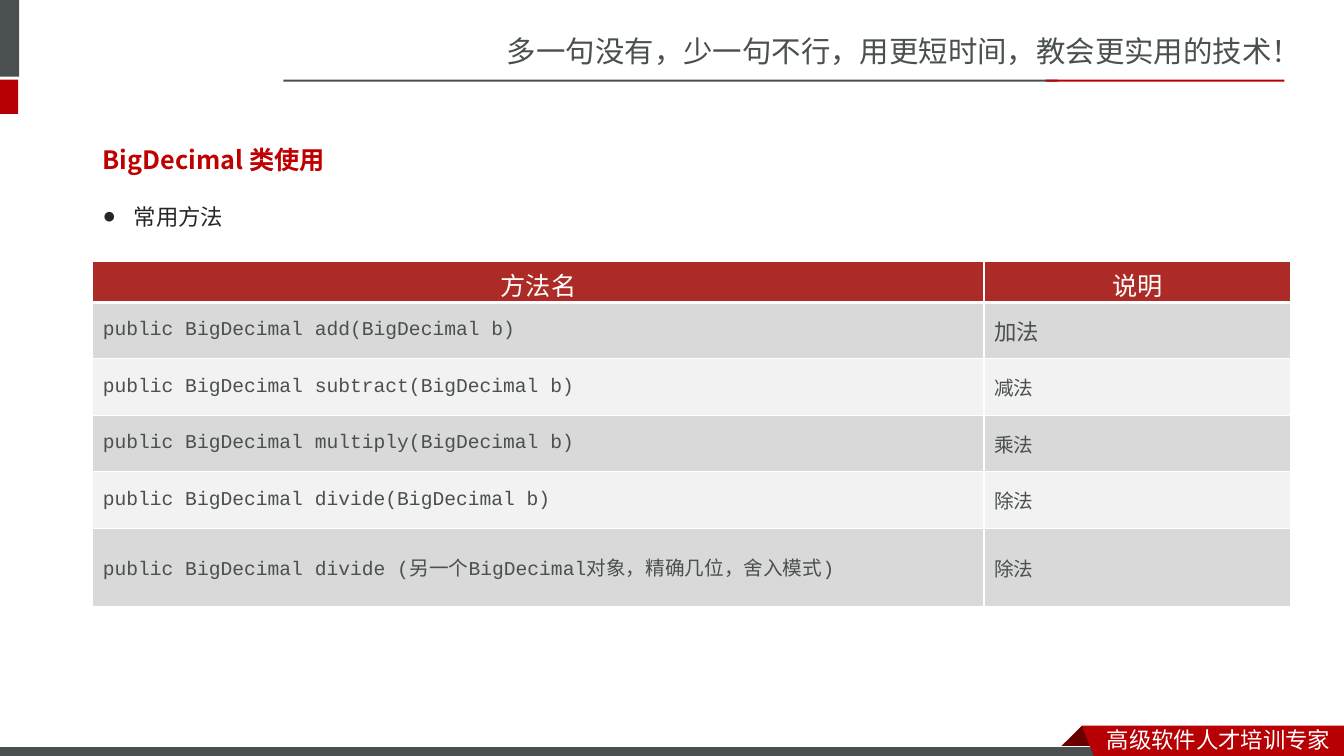
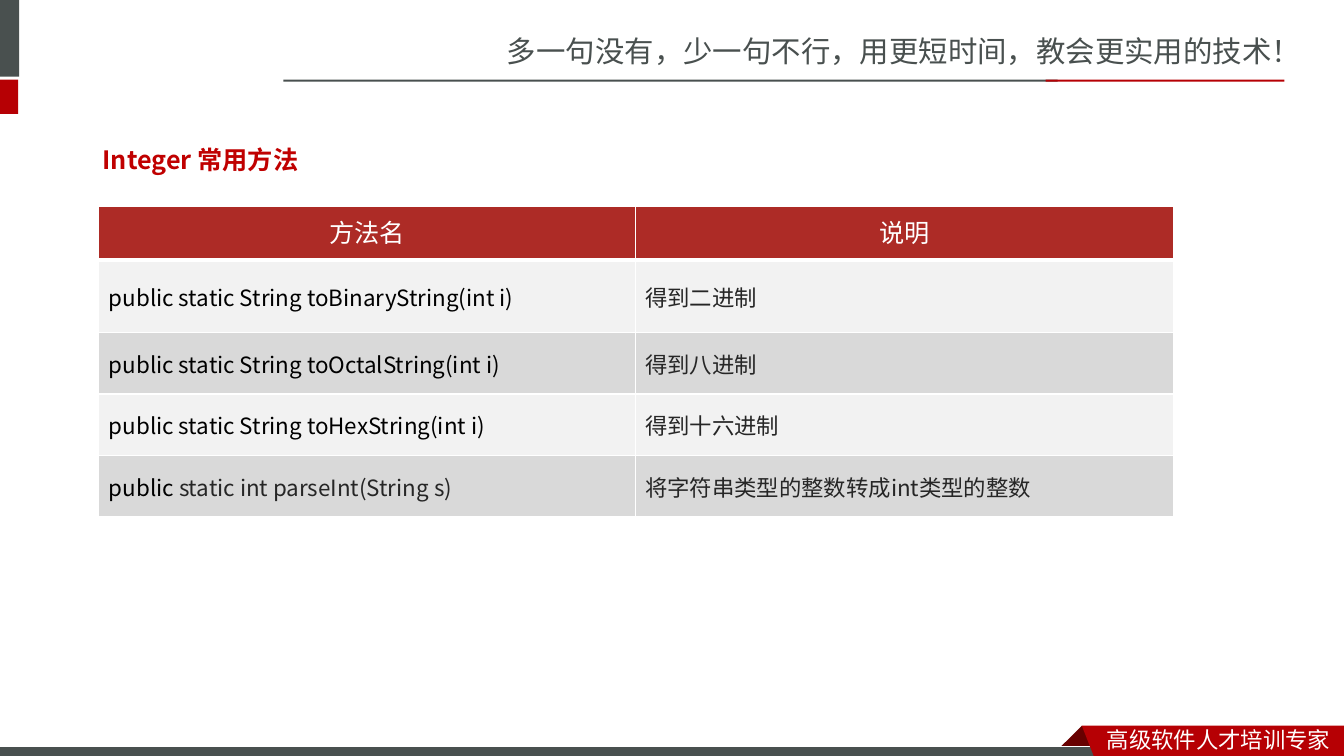
from dataclasses import dataclass

from lxml.etree import SubElement
from pptx import Presentation
from pptx.dml.color import RGBColor
from pptx.enum.lang import MSO_LANGUAGE_ID
from pptx.enum.shapes import MSO_SHAPE
from pptx.enum.text import MSO_ANCHOR, MSO_AUTO_SIZE, PP_ALIGN
from pptx.oxml.ns import qn
from pptx.util import Inches, Pt


@dataclass(frozen=True)
class Theme:
    white: str = "FFFFFF"
    black: str = "000000"
    ink: str = "262626"
    slate: str = "49504F"
    red: str = "B60004"
    dark: str = "680000"
    title: str = "C00000"
    head: str = "AD2B26"
    gray: str = "D9D9D9"
    pale: str = "F2F2F2"
    brand: str = "Noto Sans CJK SC"
    body: str = "Noto Sans CJK JP"
    code: str = "Courier New"
    latin: str = "Arial"
    slogan: int = 21
    large: int = 18
    text: int = 16
    small: int = 14


T = Theme()


def write(para, text, size=T.text, font=T.body, color=T.ink, bold=False,
          align=None, gap=None):
    """Add one formatted run to a paragraph."""
    if align is not None:
        para.alignment = align
    if gap is not None:
        para.line_spacing = gap
    run = para.add_run()
    run.text = text
    run.font.size = Pt(size)
    run.font.bold = bold
    run.font.color.rgb = RGBColor.from_string(color)
    run.font.name = font
    run.font.language_id = MSO_LANGUAGE_ID.SIMPLIFIED_CHINESE
    wide = font if font.startswith("Noto") else T.body
    SubElement(run.font._element, qn("a:ea")).set("typeface", wide)


def add_box(slide, left, top, width, height):
    """Add a wrapping text box and return its first paragraph."""
    frame = slide.shapes.add_textbox(*map(Inches, (left, top, width, height))).text_frame
    frame.word_wrap = True
    frame.auto_size = MSO_AUTO_SIZE.SHAPE_TO_FIT_TEXT
    return frame.paragraphs[0]


bars = [
    (-0.06, 0, 0.25, 0.76, T.slate),
    (-0.06, 0.79, 0.24, 0.34, T.red),
    (2.81, 0.79, 7.68, 0.02, T.slate),
    (10.37, 0.79, 2.37, 0.02, T.red),
]
fold = [(10.73, 7.2), (10.95, 7.42), (10.94, 7.43), (10.52, 7.43), (10.51, 7.42)]
ribbon = [(10.73, 7.2), (13.33, 7.2), (13.33, 7.54), (10.86, 7.53)]
footer = [
    (fold, T.dark),
    ((-0.01, 7.41, 11, 0.12), T.slate),
    (ribbon, T.red),
]

# Each cell is a list of (text, format) runs.
code = dict(size=T.small, font=T.code, color=T.slate)
note = dict(size=T.small, color=T.slate)
black = dict(color=T.black)
pages = [
    dict(
        title="BigDecimal 类使用",
        bullet="常用方法",
        place=(0.92, 2.59),
        cols=(8.84, 3.04),
        highs=(0.41, 0.56, 0.56, 0.56, 0.56, 0.78),
        bands=(T.gray, T.pale),
        head=dict(font=T.body),
        tight=True,
        rows=[
            [[("public BigDecimal add(BigDecimal b)", code)],
             [("加法", dict(color=T.slate))]],
            [[("public BigDecimal subtract(BigDecimal b)", code)], [("减法", note)]],
            [[("public BigDecimal multiply(BigDecimal b)", code)], [("乘法", note)]],
            [[("public BigDecimal divide(BigDecimal b)", code)], [("除法", note)]],
            [[("public BigDecimal divide (另一个BigDecimal对象，精确几位，舍入模式)", code)],
             [("除法", note)]],
        ],
    ),
    dict(
        title="Integer 常用方法",
        bullet=None,
        place=(0.98, 2.05),
        cols=(5.32, 5.34),
        highs=(0.53, 0.72, 0.61, 0.61, 0.61),
        bands=(T.pale, T.gray),
        head=dict(font=T.latin, gap=Pt(24)),
        tight=False,
        rows=[
            [[("public static String toBinaryString(int i)", black)],
             [("得到二进制", {})]],
            [[("public static String toOctalString(int i)", black)],
             [("得到八进制", {})]],
            [[("public static String toHexString(int i)", black)],
             [("得到十六进制", {})]],
            [[("public ", black), ("static int parseInt(String s)", {})],
             [("将字符串类型的整数转成int类型的整数", {})]],
        ],
    ),
]

deck = Presentation()
deck.slide_width, deck.slide_height = Inches(13.33), Inches(7.5)

for page in pages:
    slide = deck.slides.add_slide(deck.slide_layouts[6])

    # Shared header and footer
    write(add_box(slide, 4.93, 0.28, 8.41, 0.47),
          "多一句没有，少一句不行，用更短时间，教会更实用的技术！",
          size=T.slogan, font=T.brand, color=T.slate)
    for form, color in [(bar[:4], bar[4]) for bar in bars] + footer:
        if isinstance(form, tuple):
            shape = slide.shapes.add_shape(MSO_SHAPE.RECTANGLE, *map(Inches, form))
        else:
            points = [(Inches(x), Inches(y)) for x, y in form]
            pen = slide.shapes.build_freeform(*points[0])
            pen.add_line_segments(points[1:], close=True)
            shape = pen.convert_to_shape()
        shape.shadow.inherit = False
        shape.fill.solid()
        shape.fill.fore_color.rgb = RGBColor.from_string(color)
        if form == footer[1][0]:
            shape.line.color.rgb = RGBColor.from_string(T.white)
            shape.line.width = Pt(0.75)
        else:
            shape.line.fill.background()
    write(add_box(slide, 10.88, 7.15, 2.45, 0.37), "高级软件人才培训专家",
          font=T.brand, color=T.white)

    # Title and bullet
    if page["bullet"]:
        para = add_box(slide, 0.92, 1.83, 9.64, 0.47)
        write(para, page["bullet"], gap=1.5)
        props = para._p.get_or_add_pPr()
        props.set("marL", str(Inches(0.31)))
        props.set("indent", str(-Inches(0.31)))
        SubElement(props, qn("a:buFont")).set("typeface", T.latin)
        SubElement(props, qn("a:buChar")).set("char", "●")
    write(add_box(slide, 0.92, 1.23, 5.12, 0.51), page["title"],
          size=T.large, color=T.title, bold=True, gap=1.5)

    # Method table
    look = dict(size=T.large, color=T.white, align=PP_ALIGN.CENTER, **page["head"])
    rows = [[[("方法名", look)], [("说明", look)]]] + page["rows"]
    cols, highs = page["cols"], page["highs"]
    table = slide.shapes.add_table(
        len(rows), len(cols), *map(Inches, (*page["place"], sum(cols), sum(highs)))).table
    table.first_row = table.horz_banding = False
    for col, width in zip(table.columns, cols):
        col.width = Inches(width)
    for row, high in zip(table.rows, highs):
        row.height = Inches(high)
    for i, row in enumerate(rows):
        for j, runs in enumerate(row):
            cell = table.cell(i, j)
            cell.vertical_anchor = MSO_ANCHOR.MIDDLE
            if i == 0 and page["tight"]:
                cell.vertical_anchor = MSO_ANCHOR.TOP
                cell.margin_bottom = 0
            for text, style in runs:
                write(cell.text_frame.paragraphs[0], text, **style)
            for side in "LRTB":
                thick = (i, side) in ((0, "B"), (1, "T"))
                line = SubElement(cell._tc.get_or_add_tcPr(), qn("a:ln" + side))
                line.set("w", str(Pt(3 if thick else 1)))
                fill = SubElement(line, qn("a:solidFill"))
                SubElement(fill, qn("a:srgbClr")).set("val", T.white)
            cell.fill.solid()
            color = page["bands"][(i - 1) % 2] if i else T.head
            cell.fill.fore_color.rgb = RGBColor.from_string(color)

deck.save("out.pptx")
